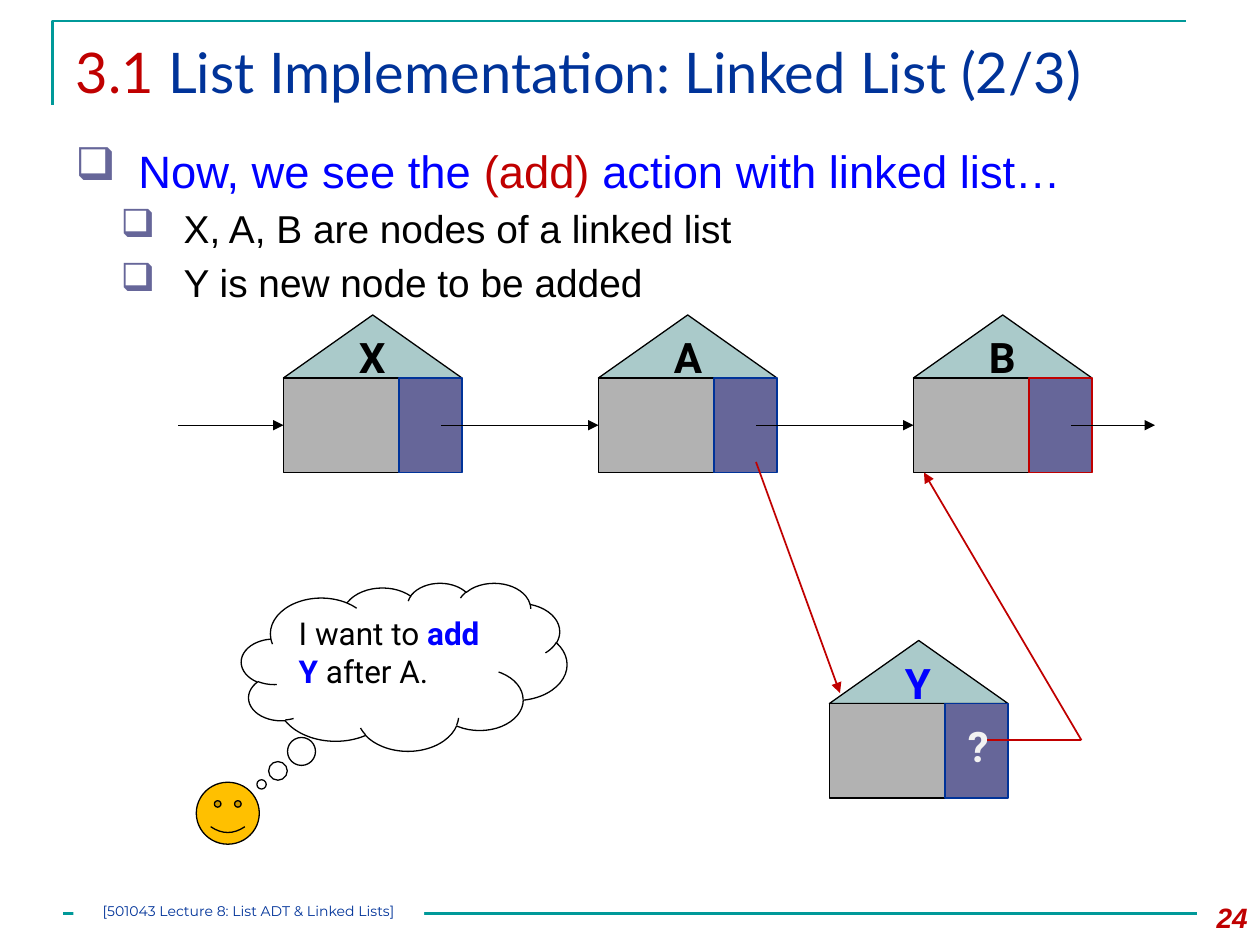
import pptx
import pptx.dml.color
import pptx.enum.shapes
import pptx.enum.text
import pptx.oxml.ns
import pptx.util
from lxml import etree

COLORS = {
    "teal": "009999", "navy": "003399", "red": "C00000", "blue": "0000FF",
    "black": "000000", "white": "FFFFFF", "pale": "F2F2F2", "roof": "AACACA",
    "data": "B2B2B2", "pointer": "666699", "face": "FFC000",
}
COLUMNS, ROWS = 120, 90
SHAPES = pptx.enum.shapes.MSO_SHAPE
ALIGN = pptx.enum.text.PP_ALIGN


def color(name):
    return pptx.dml.color.RGBColor.from_string(COLORS[name])


def add_xml(parent, tag, **attributes):
    return etree.SubElement(parent, pptx.oxml.ns.qn(tag), **attributes)


class Deck:
    def __init__(self):
        self.presentation = pptx.Presentation()
        self.presentation.slide_width = pptx.util.Inches(10)
        self.presentation.slide_height = pptx.util.Inches(7.5)
        self.slide = self.presentation.slides.add_slide(self.presentation.slide_layouts[5])

    def x(self, columns):
        return round(self.presentation.slide_width * columns / COLUMNS)

    def y(self, rows):
        return round(self.presentation.slide_height * rows / ROWS)

    def box(self, left, top, width, height):
        return self.x(left), self.y(top), self.x(width), self.y(height)

    def frame(self, shape):
        frame = shape.text_frame
        frame.word_wrap = True
        frame.auto_size = pptx.enum.text.MSO_AUTO_SIZE.NONE
        frame.vertical_anchor = pptx.enum.text.MSO_ANCHOR.TOP
        return frame

    def add_runs(self, paragraph, runs, font, size, align=ALIGN.LEFT, bold=False, italic=False):
        paragraph.alignment = align
        for text, tint, *strong in runs:
            run = paragraph.add_run()
            run.text = text
            run.font.name = font
            run.font.size = pptx.util.Pt(size)
            run.font.bold = bold or bool(strong)
            run.font.italic = italic
            run.font.color.rgb = color(tint)

    def title(self, area, runs):
        shape = self.slide.shapes.title
        shape.left, shape.top, shape.width, shape.height = self.box(*area)
        self.add_runs(self.frame(shape).paragraphs[0], runs, "Lato", 32)

    def text(self, area, runs, font, size, parent=None, **style):
        shape = (parent or self.slide).shapes.add_textbox(*self.box(*area))
        self.add_runs(self.frame(shape).paragraphs[0], runs, font, size, **style)

    def bullets(self, area, items):
        frame = self.frame(self.slide.shapes.add_textbox(*self.box(*area)))
        for index, (level, runs) in enumerate(items):
            paragraph = frame.add_paragraph() if index else frame.paragraphs[0]
            size = (25.9, 22.2)[level]
            paragraph.level = level
            paragraph.space_before = pptx.util.Pt(round(size * 0.2, 1))
            self.add_runs(paragraph, runs, "Arial", size)
            properties = paragraph._p.get_or_add_pPr()
            properties.set("marL", str(pptx.util.Inches((0.5, 0.86)[level])))
            properties.set("indent", str(pptx.util.Inches(-0.5)))
            tint = add_xml(properties, "a:buClr")
            add_xml(tint, "a:srgbClr", val=COLORS["pointer"])
            add_xml(properties, "a:buChar", char="❑")

    def shape(self, kind, area, fill, line="black", parent=None):
        shape = (parent or self.slide).shapes.add_shape(kind, *self.box(*area))
        shape.shadow.inherit = False
        shape.fill.solid()
        shape.fill.fore_color.rgb = color(fill)
        if line:
            shape.line.color.rgb = color(line)
            shape.line.width = pptx.util.Pt(0.75)
        else:
            shape.line.fill.background()
        return shape

    def line(self, start, end, tint="black", width=0.75, arrow=True, target=None):
        connector = self.slide.shapes.add_connector(
            pptx.enum.shapes.MSO_CONNECTOR.STRAIGHT,
            self.x(start[0]), self.y(start[1]), self.x(end[0]), self.y(end[1]))
        connector.line.color.rgb = color(tint)
        connector.line.width = pptx.util.Pt(width)
        properties = connector.element.spPr
        if arrow:
            add_xml(properties.find(pptx.oxml.ns.qn("a:ln")), "a:tailEnd", type="triangle")
        add_xml(properties, "a:effectLst")
        if target is not None:
            connector.end_connect(target, 1)

    def bracket(self, left, top, width, height):
        builder = self.slide.shapes.build_freeform(self.x(left), self.y(top + height))
        builder.add_line_segments(
            [(self.x(left), self.y(top)), (self.x(left + width), self.y(top))], close=False)
        shape = builder.convert_to_shape()
        shape.shadow.inherit = False
        shape.fill.background()
        shape.line.color.rgb = color("teal")
        shape.line.width = pptx.util.Pt(1.5)

    def node(self, left, top, label, label_color="black", pointer_line="navy"):
        group = self.slide.shapes.add_group_shape()
        self.shape(SHAPES.FLOWCHART_EXTRACT, (left, top, 17, 6), "roof", parent=group)
        data = self.shape(SHAPES.FLOWCHART_PROCESS, (left, top + 6, 11, 9), "data", parent=group)
        self.shape(SHAPES.FLOWCHART_PROCESS, (left + 11, top + 6, 6, 9),
                   "pointer", pointer_line, group)
        self.text((left + 6, top + 1, 5, 6), [(label, label_color)], "Roboto", 24,
                  parent=group, bold=True)
        return data

    def thought(self, area, runs):
        cloud = self.shape(SHAPES.CLOUD_CALLOUT, area, "white")
        cloud.adjustments[0], cloud.adjustments[1] = -0.438, 0.7
        self.add_runs(self.frame(cloud).paragraphs[0], runs, "Roboto", 18)

    def footer(self, area, text):
        shape = self.shape(SHAPES.RECTANGLE, area, "white", None)
        frame = self.frame(shape)
        frame.margin_left = frame.margin_right = frame.margin_top = frame.margin_bottom = 0
        self.add_runs(frame.paragraphs[0], [(text, "navy")], "Montserrat", 8, ALIGN.CENTER)


def main():
    deck = Deck()
    deck.bracket(5, 2, 108, 8)
    deck.line((6, 87), (114, 87), "teal", 1.5, arrow=False)
    deck.title((6, 3, 108, 10.3),
               [("3.1 ", "red"), ("List Implementation: Linked List (2/3)", "navy")])
    deck.text((112, 85.2, 8, 4.8), [("24", "red")], "Arial", 16,
              align=ALIGN.RIGHT, bold=True, italic=True)
    deck.bullets((6, 13, 108, 16), [
        (0, [("Now, we see the ", "blue"), ("(add) ", "red"),
             ("action with linked list…", "blue")]),
        (1, [("X, A, B are nodes of a linked list", "black")]),
        (1, [("Y is new node to be added", "black")]),
    ])

    first, step, list_top = 27, 30, 30
    link_row = list_top + 10.5
    lines = {"X": "navy", "A": "navy", "B": "red"}
    nodes = [deck.node(first + step * index, list_top, label, pointer_line=line)
             for index, (label, line) in enumerate(lines.items())]
    deck.node(79, 61, "Y", "blue")
    deck.text((91, 68, 5, 6), [("?", "pale")], "Roboto", 24, bold=True)

    face = deck.shape(SHAPES.SMILEY_FACE, (18.7, 74.5, 6, 5.9), "face")
    face.adjustments[0] = 0.047
    deck.thought((23, 55.5, 31, 16), [
        ("I want to ", "black"), ("add Y", "blue", True), (" after A.", "black")])

    deck.line((72, 44), (80, 66), "red", 1)
    deck.line((94, 70.5), (103, 70.5), "red", 1, arrow=False)
    deck.line((103, 70.5), (88, 45), "red", 1)
    deck.line((17, link_row), (first, link_row), target=nodes[0])
    for index, target in enumerate(nodes[1:]):
        left = first + step * index
        deck.line((left + 15, link_row), (left + step, link_row), target=target)
    deck.line((102, link_row), (110, link_row))

    deck.footer((7, 86, 33.4, 2.4), "[501043 Lecture 8: List ADT & Linked Lists]")
    deck.presentation.save("out.pptx")


if __name__ == "__main__":
    main()
